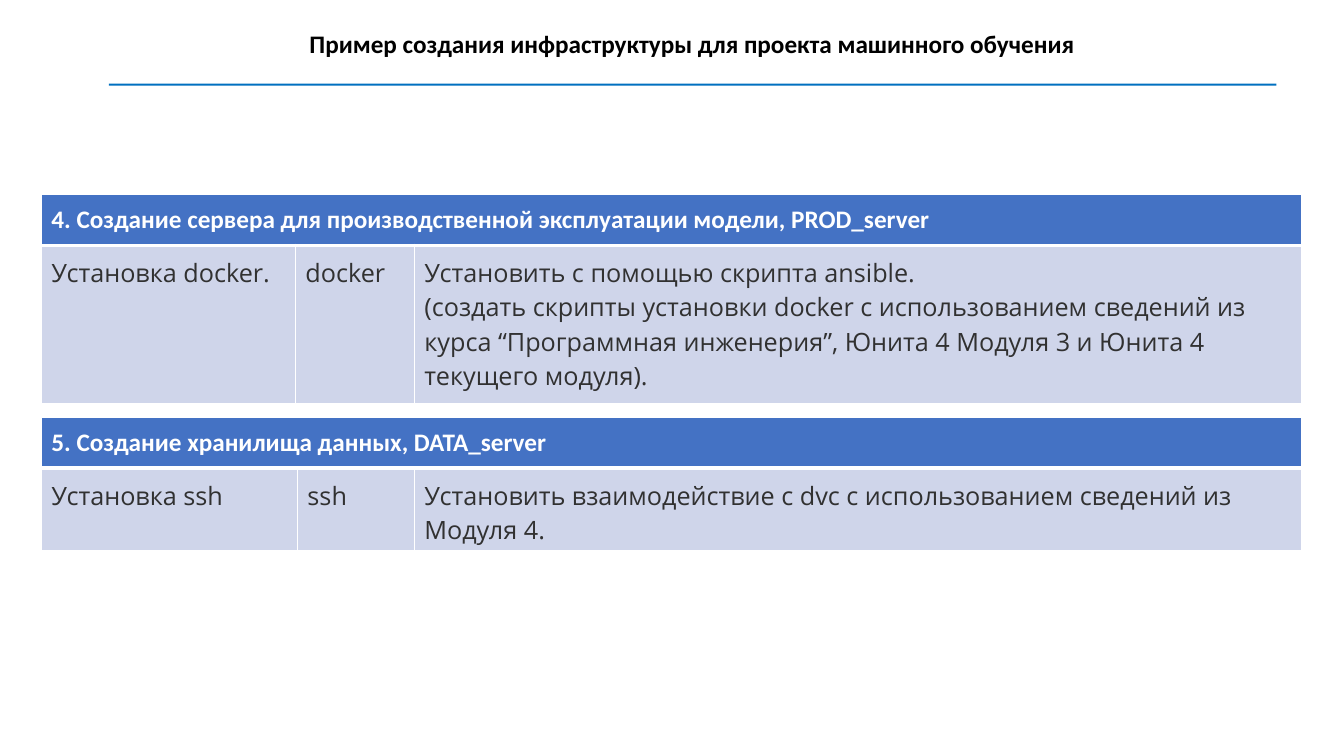
from lxml import etree
from pptx import Presentation, util as u
from pptx.dml.color import RGBColor
from pptx.enum import shapes, text
from pptx.oxml.ns import qn

WIDTH, HEIGHT = 13.33, 7.5
LEFT, TABLE_WIDTH = 0.41, 12.5
INSET = 0.1
COLORS = {"rule": "0070C0", "header": "4472C4", "body": "CFD5EA",
          "white": "FFFFFF", "dark": "313131", "black": "000000"}
HEADING = {"name": "Calibri", "size": u.Pt(18), "bold": True}
BODY = {"name": "Open Sans", "size": u.Pt(18), "bold": False}


def color(name):
    return RGBColor.from_string(COLORS[name])


def write(frame, lines, style, ink, align=text.PP_ALIGN.LEFT):
    """Fill a text frame with one paragraph per line."""
    for index, line in enumerate(lines):
        para = frame.paragraphs[0] if index == 0 else frame.add_paragraph()
        para.alignment = align
        span = para.add_run()
        span.text = line
        for key, value in style.items():
            setattr(span.font, key, value)
        span.font.color.rgb = color(ink)


def set_borders(cell, bottom):
    """White cell edges; they come before the fill in the cell properties."""
    props = cell._tc.get_or_add_tcPr()
    sides = {"lnL": 1, "lnR": 1, "lnT": 1, "lnB": bottom}
    for index, (side, points) in enumerate(sides.items()):
        line = etree.Element(qn(f"a:{side}"), w=str(u.Pt(points)))
        fill = etree.SubElement(line, qn("a:solidFill"))
        etree.SubElement(fill, qn("a:srgbClr"), val=COLORS["white"])
        props.insert(index, line)


def format_cell(cell, fill, border, **format_values):
    cell.fill.solid()
    cell.fill.fore_color.rgb = color(fill)
    for side in ("left", "right", "top", "bottom"):
        setattr(cell, f"margin_{side}", u.Inches(INSET))
    for key, value in format_values.items():
        setattr(cell, key, value)
    set_borders(cell, border)


def add_title(page, words):
    title = page.shapes.title
    box = {"left": 2.93, "top": 0.23, "width": 7.87, "height": 0.4}
    for key, value in box.items():
        setattr(title, key, u.Inches(value))
    frame = title.text_frame
    frame.word_wrap = False
    frame.auto_size = text.MSO_AUTO_SIZE.NONE
    frame.vertical_anchor = text.MSO_ANCHOR.MIDDLE
    write(frame, [words], HEADING, "black", text.PP_ALIGN.CENTER)


def add_rule(page):
    rule = page.shapes.add_shape(shapes.MSO_SHAPE.RECTANGLE, *map(
        u.Inches, (1.08, 0.83, 11.58, 0.02)))
    rule.shadow.inherit = False
    rule.fill.solid()
    rule.fill.fore_color.rgb = color("rule")
    rule.line.fill.background()


def add_step(page, top, columns, rows, heading, cells, bottom_inset):
    """A merged heading row above one row of task, tool and action."""
    table = page.shapes.add_table(
        len(rows), len(columns), u.Inches(LEFT), u.Inches(top),
        u.Inches(TABLE_WIDTH), u.Inches(sum(rows))).table
    table.horz_banding = False
    for column, width in zip(table.columns, columns):
        column.width = u.Inches(width)
    for row, height in zip(table.rows, rows):
        row.height = u.Inches(height)

    # Heading row
    for cell in table.rows[0].cells:
        format_cell(cell, "header", 3, vertical_anchor=text.MSO_ANCHOR.MIDDLE)
    first = table.cell(0, 0)
    first.merge(table.cell(0, len(columns) - 1))
    write(first.text_frame, [heading], HEADING, "white")

    # Body row
    for cell, lines in zip(table.rows[1].cells, cells):
        format_cell(cell, "body", 1, margin_bottom=u.Inches(bottom_inset))
        write(cell.text_frame, lines, BODY, "dark")


def main():
    deck = Presentation()
    deck.slide_width, deck.slide_height = u.Inches(WIDTH), u.Inches(HEIGHT)
    page = deck.slides.add_slide(deck.slide_layouts.get_by_name("Title Only"))

    add_rule(page)
    add_title(page, "Пример создания инфраструктуры для проекта машинного обучения")
    add_step(
        page, 1.93, (2.52, 1.18, 8.8), (0.5, 1.57),
        "4. Создание сервера для производственной эксплуатации модели, PROD_server",
        [["Установка docker."], ["docker"],
         ["Установить с помощью скрипта ansible.",
          "(создать скрипты установки docker с использованием сведений из курса "
          "“Программная инженерия”, Юнита 4 Модуля 3 и Юнита 4 текущего модуля)."]],
        INSET)
    add_step(
        page, 4.14, (2.54, 1.16, 8.8), (0.5, 0.82),
        "5. Создание хранилища данных, DATA_server",
        [["Установка ssh"], ["ssh"],
         ["Установить взаимодействие с dvc с использованием сведений из Модуля 4."]],
        0.02)
    deck.save("out.pptx")


if __name__ == "__main__":
    main()
